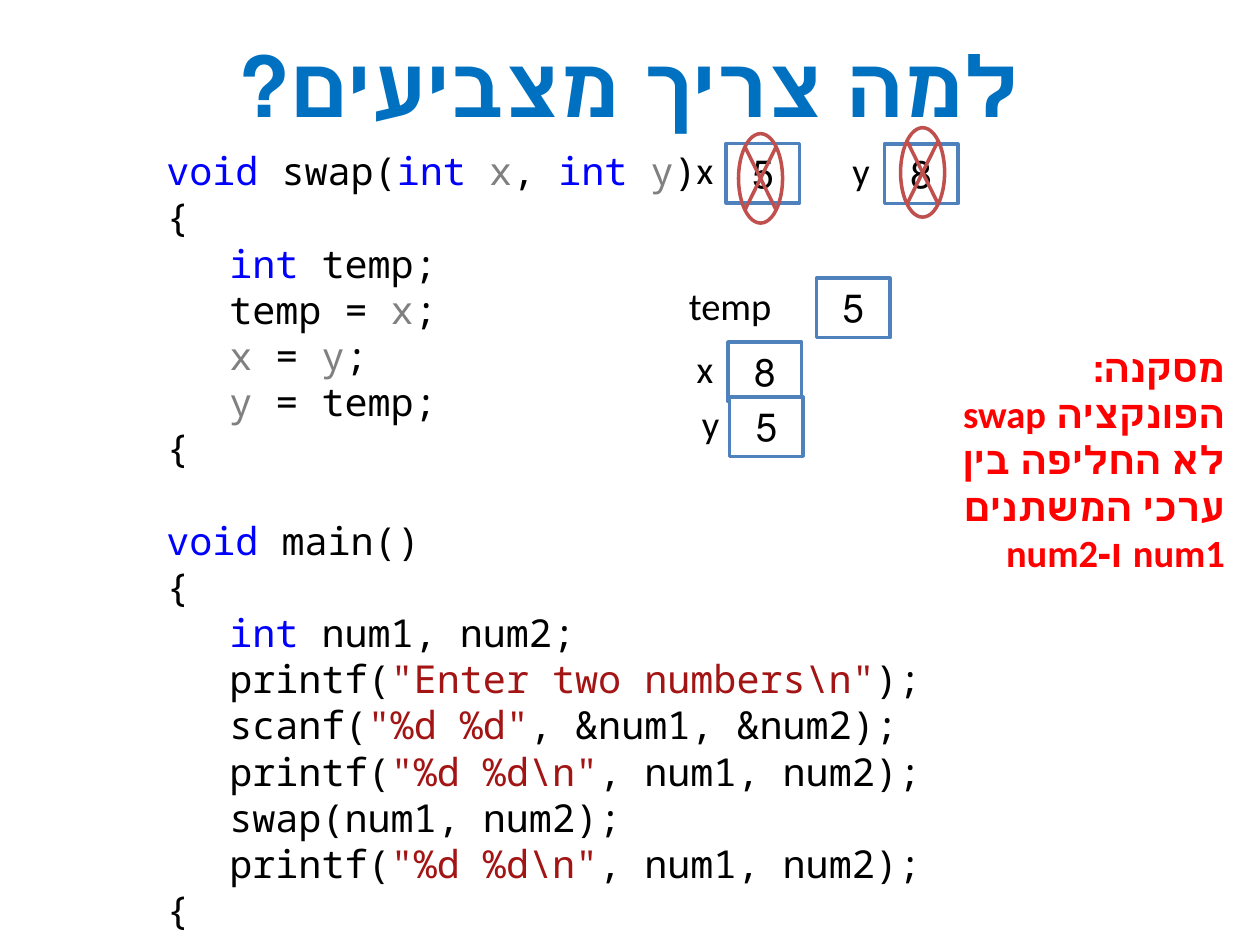
from dataclasses import dataclass

from pptx import Presentation
from pptx.dml.color import RGBColor
from pptx.enum.shapes import MSO_SHAPE
from pptx.enum.text import MSO_ANCHOR, MSO_AUTO_SIZE, PP_ALIGN
from pptx.util import Pt

RECTANGLE = MSO_SHAPE.RECTANGLE
CROSSED_OVAL = MSO_SHAPE.FLOWCHART_SUMMING_JUNCTION
TOP, MIDDLE = MSO_ANCHOR.TOP, MSO_ANCHOR.MIDDLE
GROW = MSO_AUTO_SIZE.SHAPE_TO_FIT_TEXT
LEFT, CENTER, RIGHT = PP_ALIGN.LEFT, PP_ALIGN.CENTER, PP_ALIGN.RIGHT

BLACK = RGBColor(0x00, 0x00, 0x00)
WHITE = RGBColor(0xFF, 0xFF, 0xFF)
TITLE_BLUE = RGBColor(0x00, 0x70, 0xC0)
KEYWORD = RGBColor(0x00, 0x00, 0xFF)
PARAMETER = RGBColor(0x80, 0x80, 0x80)
STRING = RGBColor(0xA3, 0x15, 0x15)
BOX_BLUE = RGBColor(0x4F, 0x81, 0xBD)
CROSS_RED = RGBColor(0xC0, 0x50, 0x4D)
RED = RGBColor(0xFF, 0x00, 0x00)

BODY_FONT, CODE_FONT = "Calibri", "Noto Sans Mono"
BODY_SIZE = 22
CODE_INDENT = 36
FUNCTION_GAP = 26.4
BOX_WIDTH, BOX_HEIGHT = 42, 34
CROSS_WIDTH, CROSS_HEIGHT = 25.2, 51.1


@dataclass(frozen=True)
class CodeLine:
    runs: tuple[tuple[str, RGBColor], ...]
    indented: bool = False
    space_before: float = 0


@dataclass(frozen=True)
class Variable:
    name: str
    value: str
    name_left: float
    name_top: float
    box_left: float
    box_top: float
    name_width: float = 20


BRACE = CodeLine((("{", BLACK),))
PRINT_NUMBERS = CodeLine(
    (("printf(", BLACK), ('"%d %d\\n"', STRING), (", num1, num2);", BLACK)), True)

CODE = (
    CodeLine((("void", KEYWORD), (" swap(", BLACK), ("int ", KEYWORD), ("x", PARAMETER),
              (", ", BLACK), ("int ", KEYWORD), ("y", PARAMETER), (")", BLACK))),
    BRACE,
    CodeLine((("int", KEYWORD), (" temp;", BLACK)), True),
    CodeLine((("temp = ", BLACK), ("x", PARAMETER), (";", BLACK)), True),
    CodeLine((("x", PARAMETER), (" = ", BLACK), ("y", PARAMETER), (";", BLACK)), True),
    CodeLine((("y", PARAMETER), (" = temp;", BLACK)), True),
    BRACE,
    CodeLine((("void", KEYWORD), (" main()", BLACK)), space_before=FUNCTION_GAP),
    BRACE,
    CodeLine((("int", KEYWORD), (" num1, num2;", BLACK)), True),
    CodeLine((("printf(", BLACK), ('"Enter two numbers\\n"', STRING), (");", BLACK)), True),
    CodeLine((("scanf(", BLACK), ('"%d %d"', STRING), (", &num1, &num2);", BLACK)), True),
    PRINT_NUMBERS,
    CodeLine((("swap(num1, num2);", BLACK),), True),
    PRINT_NUMBERS,
    BRACE,
)

VARIABLES = (
    Variable("x", "5", 391, 80, 415, 82),
    Variable("y", "8", 480, 80.6, 505.4, 82.4),
    Variable("temp", "5", 386.6, 157.7, 466.6, 159, 75),
    Variable("x", "8", 391, 193.7, 416, 195.4),
    Variable("y", "5", 394, 225, 417, 226.8),
)

CROSSES = ((422, 76.4), (514.6, 73))


def add_text_box(slide, left: float, top: float, width: float, height: float):
    shape = slide.shapes.add_textbox(Pt(left), Pt(top), Pt(width), Pt(height))
    shape.text_frame.word_wrap = True
    shape.text_frame.auto_size = GROW
    return shape


def write(frame, lines: tuple[str, ...], color: RGBColor = BLACK, size: float = BODY_SIZE,
          bold: bool = False, alignment=LEFT, right_to_left: bool = False) -> None:
    frame.text = "\n".join(lines)
    for paragraph in frame.paragraphs:
        paragraph.alignment = alignment
        if right_to_left:
            paragraph._p.get_or_add_pPr().set("rtl", "1")
        font = paragraph.font
        font.name, font.size, font.bold = BODY_FONT, Pt(size), bold
        font.color.rgb = color


def add_code(slide, lines: tuple[CodeLine, ...]) -> None:
    frame = add_text_box(slide, 88, 80.6, 476, 461).text_frame
    for index, line in enumerate(lines):
        paragraph = frame.add_paragraph() if index else frame.paragraphs[0]
        if line.indented:
            paragraph.level = 1
            properties = paragraph._p.get_or_add_pPr()
            properties.set("marL", str(Pt(CODE_INDENT)))
            properties.set("indent", "0")
        if line.space_before:
            paragraph.space_before = Pt(line.space_before)
        paragraph.font.name, paragraph.font.size = CODE_FONT, Pt(BODY_SIZE)
        for text, color in line.runs:
            run = paragraph.add_run()
            run.text = text
            run.font.color.rgb = color


def add_outlined_shape(slide, kind, left: float, top: float, width: float, height: float,
                       color: RGBColor):
    shape = slide.shapes.add_shape(kind, Pt(left), Pt(top), Pt(width), Pt(height))
    shape.shadow.inherit = False
    shape.line.color.rgb = color
    shape.line.width = Pt(2)
    return shape


def add_variable(slide, variable: Variable) -> None:
    """Draw a variable's name beside the box that holds its value."""
    label = add_text_box(slide, variable.name_left, variable.name_top,
                         variable.name_width, BOX_HEIGHT)
    write(label.text_frame, (variable.name,))
    box = add_outlined_shape(slide, RECTANGLE, variable.box_left, variable.box_top,
                             BOX_WIDTH, BOX_HEIGHT, BOX_BLUE)
    box.fill.solid()
    box.fill.fore_color.rgb = WHITE
    frame = box.text_frame
    frame.word_wrap = True
    frame.auto_size = GROW
    frame.vertical_anchor = TOP
    write(frame, (variable.value,), alignment=CENTER, right_to_left=True)


def main() -> None:
    presentation = Presentation()
    presentation.slide_width, presentation.slide_height = Pt(720), Pt(540)
    slide = presentation.slides.add_slide(presentation.slide_layouts[6])

    title = add_text_box(slide, 30, 15, 659, 65.5).text_frame
    title.vertical_anchor = MIDDLE
    write(title, ("למה צריך מצביעים?",), TITLE_BLUE, 48, True, CENTER, True)

    add_code(slide, CODE)
    for variable in VARIABLES:
        add_variable(slide, variable)
    for left, top in CROSSES:
        cross = add_outlined_shape(slide, CROSSED_OVAL, left, top,
                                   CROSS_WIDTH, CROSS_HEIGHT, CROSS_RED)
        cross.fill.background()

    conclusion = add_text_box(slide, 508.3, 193, 198.7, 140.4).text_frame
    write(conclusion,
          ("מסקנה:", "הפונקציה swap לא החליפה בין ערכי המשתנים num1 ו-num2"),
          RED, bold=True, alignment=RIGHT, right_to_left=True)

    presentation.save("out.pptx")


if __name__ == "__main__":
    main()
